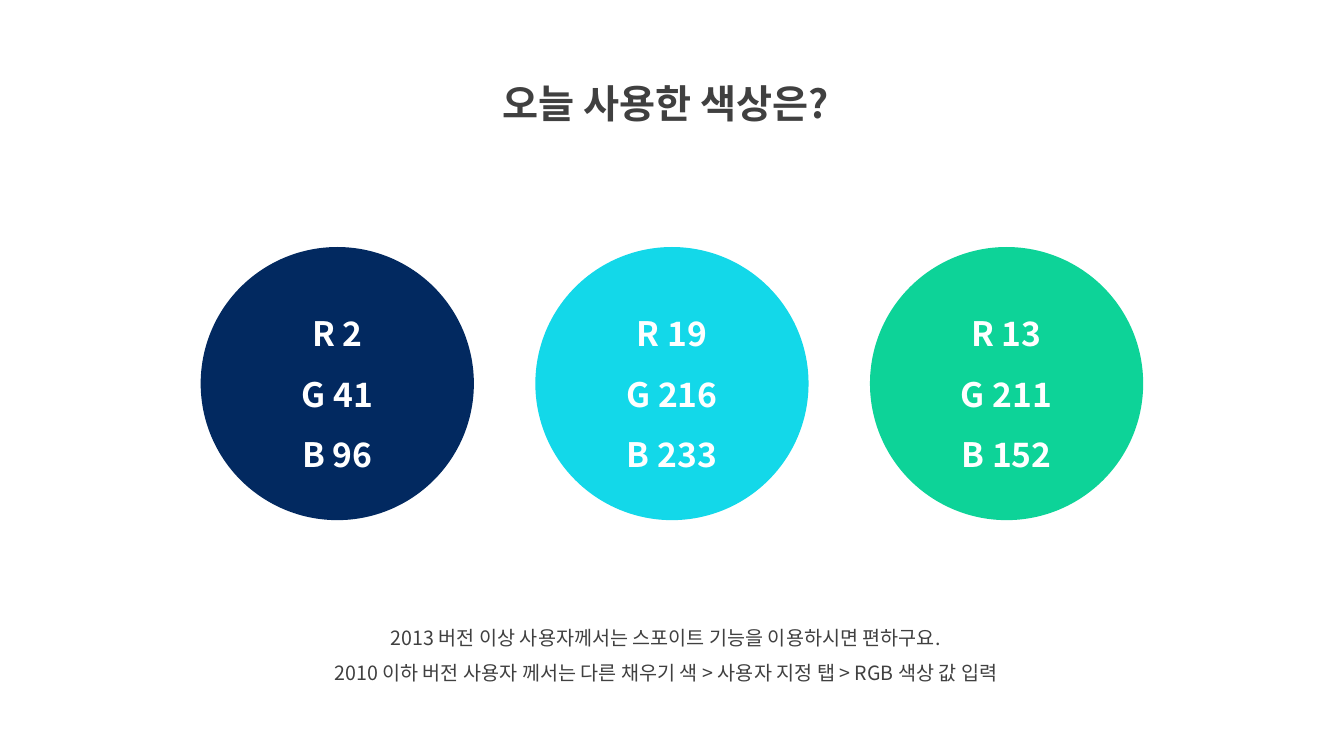
"""Build a slide that shows three theme colours with their RGB values."""
import pptx
import pptx.dml.color
import pptx.enum.shapes
import pptx.enum.text
import pptx.oxml.ns
import pptx.util
from lxml import etree

COLORS = {
    "text": "404040",
    "white": "FFFFFF",
    "navy": "022960",
    "cyan": "13D8E9",
    "green": "0DD398",
}


class PaletteSlide:
    """Hold the style and the current slide; lengths are percentages of its size."""

    font_name = "Noto Sans CJK KR"
    line_spacing = 1.5

    def __init__(self, presentation):
        """Add a blank slide to the presentation."""
        self.presentation = presentation
        self.slide = presentation.slides.add_slide(presentation.slide_layouts[6])

    def box(self, left, top, width, height):
        """Turn percentages into slide lengths."""
        across = self.presentation.slide_width / 100
        down = self.presentation.slide_height / 100
        return [int(left * across), int(top * down), int(width * across), int(height * down)]

    def color(self, name):
        """Look up a named colour."""
        return pptx.dml.color.RGBColor.from_string(COLORS[name])

    def set_lines(self, shape, lines, size, color, bold):
        """Fill a shape with centred lines of styled text."""
        shape.text_frame.word_wrap = True
        shape.text_frame.text = "\n".join(lines)
        for paragraph in shape.text_frame.paragraphs:
            paragraph.alignment = pptx.enum.text.PP_ALIGN.CENTER
            paragraph.line_spacing = self.line_spacing
            for run in paragraph.runs:
                run.font.size = pptx.util.Pt(size)
                run.font.bold = bold
                run.font.color.rgb = self.color(color)
                run.font.name = self.font_name
                east_asian = etree.SubElement(
                    run._r.get_or_add_rPr(), pptx.oxml.ns.qn("a:ea"))
                east_asian.set("typeface", self.font_name)

    def text(self, box, lines, size, bold=False):
        """Add a text box that grows with its text."""
        shape = self.slide.shapes.add_textbox(*self.box(*box))
        self.set_lines(shape, lines, size, "text", bold)
        shape.text_frame.auto_size = pptx.enum.text.MSO_AUTO_SIZE.SHAPE_TO_FIT_TEXT

    def swatch(self, box, color):
        """Add a filled circle labelled with its own RGB values."""
        shape = self.slide.shapes.add_shape(
            pptx.enum.shapes.MSO_SHAPE.OVAL, *self.box(*box))
        shape.shadow.inherit = False
        shape.fill.solid()
        shape.fill.fore_color.rgb = self.color(color)
        shape.line.fill.background()
        lines = [f"{channel} {value}" for channel, value in zip("RGB", self.color(color))]
        self.set_lines(shape, lines, 24, "white", True)
        shape.text_frame.vertical_anchor = pptx.enum.text.MSO_ANCHOR.MIDDLE


def main():
    """Build and save the presentation."""
    presentation = pptx.Presentation()
    presentation.slide_width = pptx.util.Inches(13.33)
    presentation.slide_height = pptx.util.Inches(7.5)
    palette = PaletteSlide(presentation)

    palette.text((32.18, 6.67, 34.73, 9.6), ["오늘 사용한 색상은?"], 28, bold=True)
    palette.text((19.58, 80.53, 59.94, 10.8), [
        "2013 버전 이상 사용자께서는 스포이트 기능을 이용하시면 편하구요.",
        "2010 이하 버전 사용자 께서는 다른 채우기 색 > 사용자 지정 탭 > RGB 색상 값 입력",
    ], 14)

    first_left, pitch = 14.93, 24.9
    for column, color in enumerate(("navy", "cyan", "green")):
        palette.swatch((first_left + column * pitch, 32.67, 20.33, 36.13), color)

    presentation.save("out.pptx")


if __name__ == "__main__":
    main()
